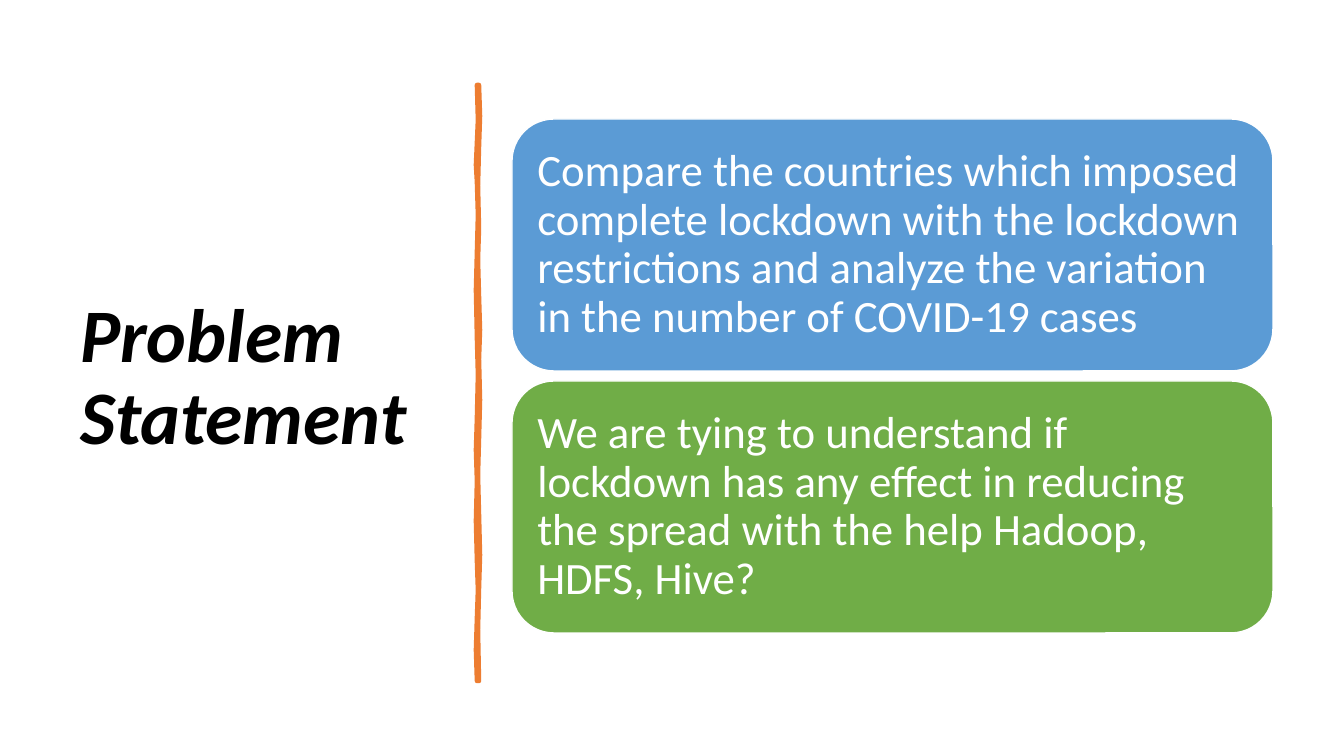
"""Build the Problem Statement slide with a hand-drawn divider and two cards."""
from pptx import Presentation
from pptx.dml.color import RGBColor
from pptx.enum.shapes import MSO_SHAPE
from pptx.enum.text import MSO_ANCHOR, MSO_AUTO_SIZE, PP_ALIGN
from pptx.util import Pt

ROUNDED = MSO_SHAPE.ROUNDED_RECTANGLE
MIDDLE = MSO_ANCHOR.MIDDLE
NO_AUTOFIT = MSO_AUTO_SIZE.NONE
LEFT = PP_ALIGN.LEFT

EMU_PER_PX = 12192000 / 1344
SLIDE_SIZE = (1344, 756)
FONT = "Calibri"
WHITE = "FFFFFF"
ORANGE = "ED7D31"

TITLE = "Problem Statement"
TITLE_BOX = (70, 71, 377, 616)
CARDS = [
    ("Compare the countries which imposed complete lockdown with the lockdown "
     "restrictions and analyze the variation in the number of COVID-19 cases", "5B9BD5"),
    ("We are tying to understand if lockdown has any effect in reducing the spread "
     "with the help Hadoop, HDFS, Hive?", "70AD47"),
]
CARD_LEFT, CARD_TOP, CARD_WIDTH, CARD_HEIGHT = 512, 119, 761, 252
CARD_STEP = 262
CARD_INSET = 13
DIVIDER_RIGHT_EDGE = [
    (479, 85), (480, 116), (479, 147), (478, 186), (479, 228), (478, 260),
    (479, 296), (480, 330), (479, 359), (480, 400), (479, 439), (478, 475),
    (479, 514), (480, 555), (479, 589), (478, 630), (479, 681),
]
DIVIDER_LEFT_EDGE = [
    (477, 681), (476, 650), (477, 618), (478, 590), (477, 561), (476, 521),
    (477, 481), (476, 450), (477, 418), (478, 375), (477, 338), (476, 290),
    (477, 252), (478, 215), (477, 182), (476, 165), (478, 120), (477, 85),
]


def px(length):
    return round(length * EMU_PER_PX)


def color(value):
    return RGBColor.from_string(value)


def write(shape, text, size, text_color, bold=False, italic=False):
    frame = shape.text_frame
    frame.word_wrap = True
    frame.auto_size = NO_AUTOFIT
    frame.vertical_anchor = MIDDLE
    paragraph = frame.paragraphs[0]
    paragraph.text = text
    paragraph.alignment = LEFT
    paragraph.line_spacing = 0.9
    font = paragraph.font
    font.name, font.size, font.bold, font.italic = FONT, Pt(size), bold, italic
    font.color.rgb = color(text_color)


def paint(shape, fill, line, line_width):
    shape.shadow.inherit = False
    shape.fill.solid()
    shape.fill.fore_color.rgb = color(fill)
    shape.line.color.rgb = color(line)
    shape.line.width = Pt(line_width)


def add_title(slide):
    title = slide.shapes.title
    title.left, title.top, title.width, title.height = map(px, TITLE_BOX)
    write(title, TITLE, 54, "000000", bold=True, italic=True)


def add_divider(slide):
    start, *others = DIVIDER_RIGHT_EDGE + DIVIDER_LEFT_EDGE
    builder = slide.shapes.build_freeform(*start, scale=EMU_PER_PX)
    builder.add_line_segments(others, close=True)
    paint(builder.convert_to_shape(), ORANGE, ORANGE, 3.25)


def add_card(slide, index, text, fill):
    box = (CARD_LEFT, CARD_TOP + index * CARD_STEP, CARD_WIDTH, CARD_HEIGHT)
    card = slide.shapes.add_shape(ROUNDED, *map(px, box))
    paint(card, fill, WHITE, 1)
    write(card, text, 32, WHITE)
    frame = card.text_frame
    frame.margin_left = frame.margin_right = px(CARD_INSET)
    frame.margin_top = frame.margin_bottom = px(CARD_INSET)


def main():
    presentation = Presentation()
    presentation.slide_width, presentation.slide_height = map(px, SLIDE_SIZE)
    slide = presentation.slides.add_slide(presentation.slide_layouts[5])
    add_title(slide)
    add_divider(slide)
    for index, (text, fill) in enumerate(CARDS):
        add_card(slide, index, text, fill)
    presentation.save("out.pptx")


if __name__ == "__main__":
    main()
